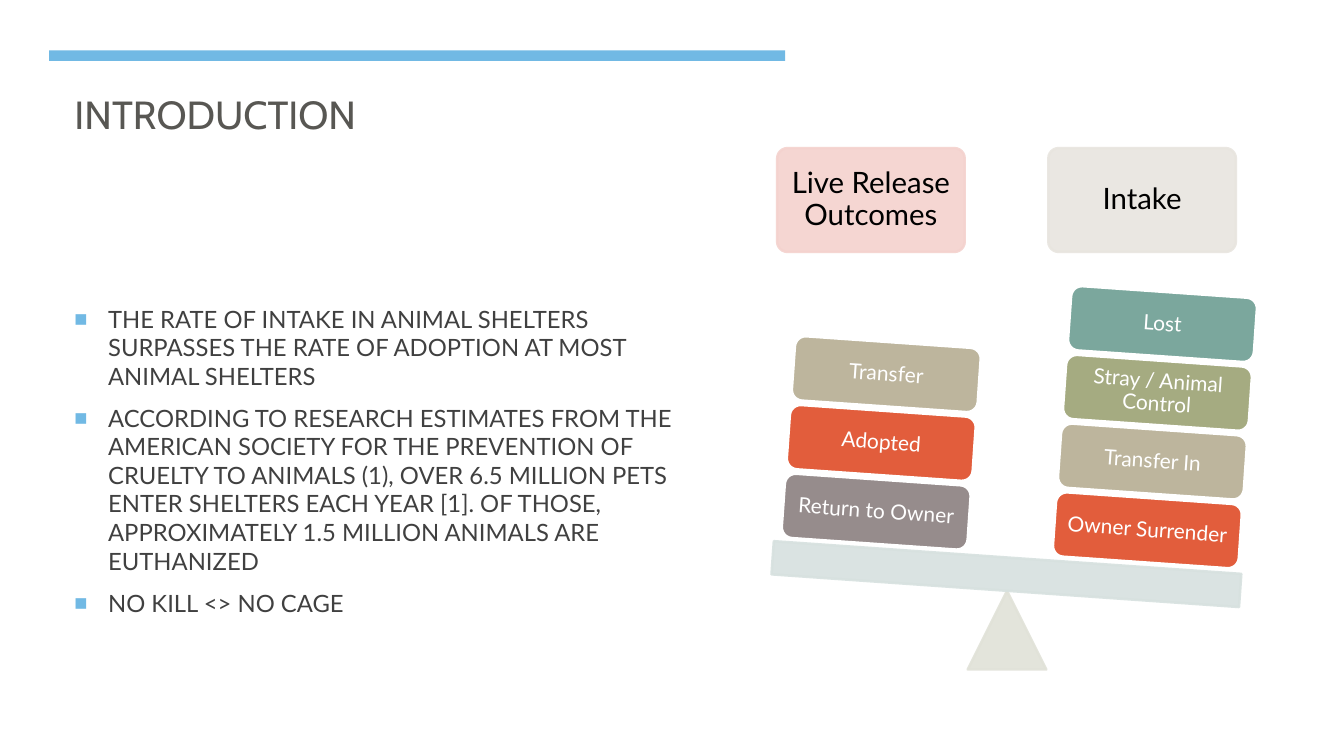
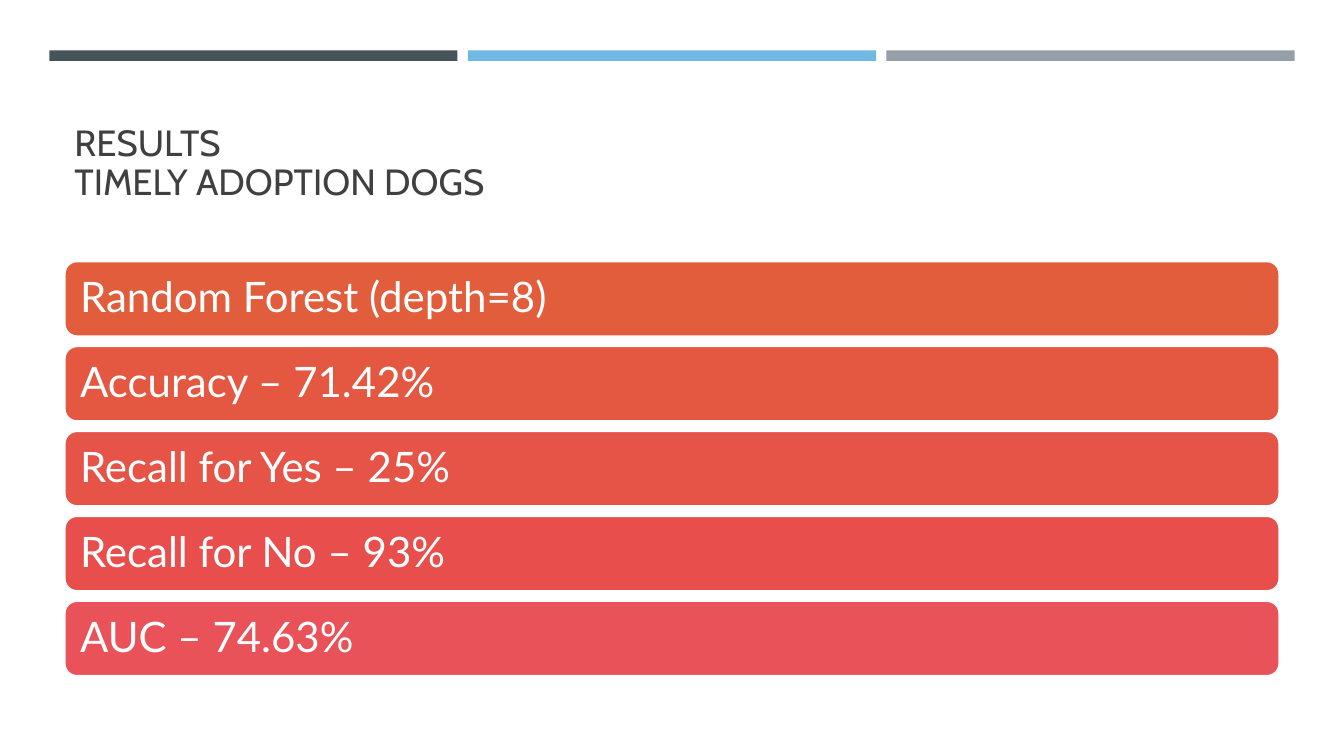
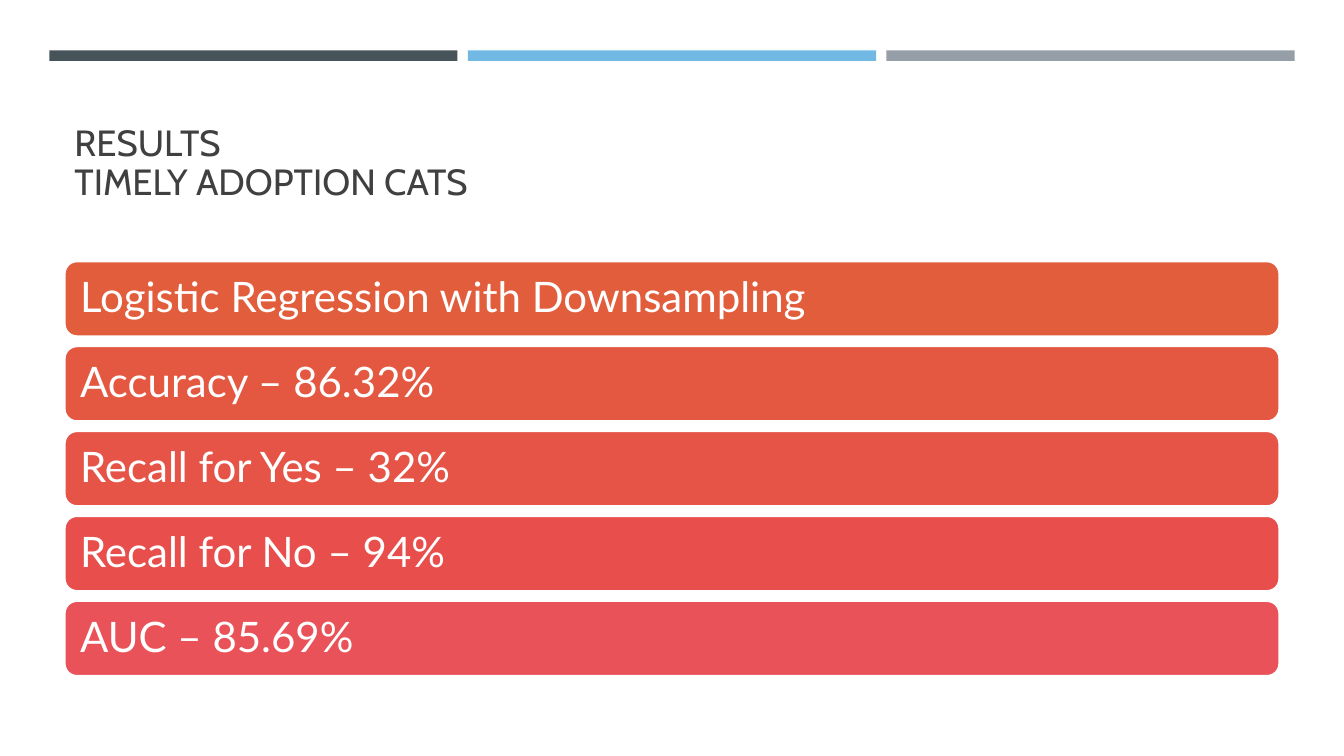
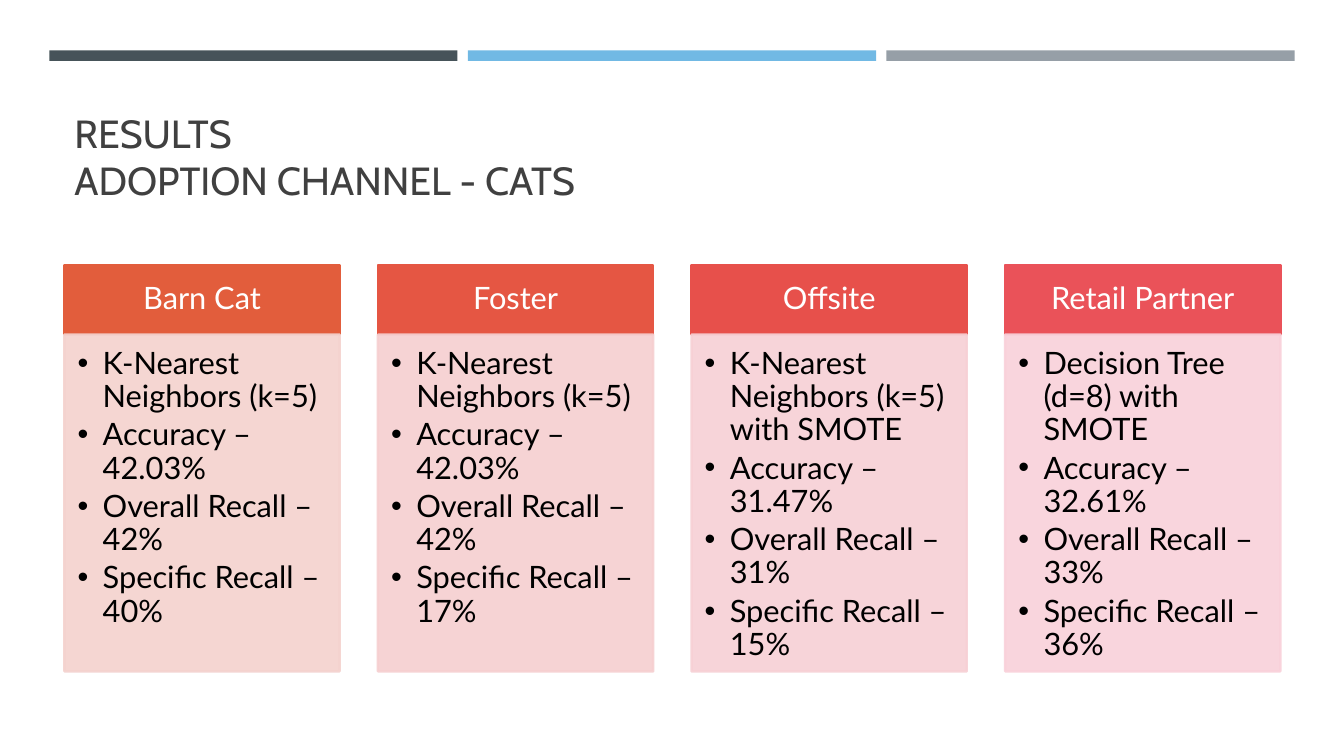
from lxml import etree
from pptx import Presentation
from pptx.dml.color import RGBColor
from pptx.enum.shapes import MSO_SHAPE
from pptx.enum.text import MSO_ANCHOR, MSO_AUTO_SIZE, PP_ALIGN
from pptx.oxml.ns import qn
from pptx.util import Pt

RECT, ROUNDED = MSO_SHAPE.RECTANGLE, MSO_SHAPE.ROUNDED_RECTANGLE
TRIANGLE = MSO_SHAPE.ISOSCELES_TRIANGLE
LEFT, CENTER = PP_ALIGN.LEFT, PP_ALIGN.CENTER
TOP, MIDDLE, BOTTOM = MSO_ANCHOR.TOP, MSO_ANCHOR.MIDDLE, MSO_ANCHOR.BOTTOM
TITLE_FONT, BODY_FONT = "Cabin", "Lato"
COLORS = {
    "white": "FFFFFF", "black": "000000", "text": "404040", "intro": "585753",
    "slate": "465359", "sky": "71B9E4", "grey": "969FA7",
    "orange": "E25D3C", "sand": "BDB59D", "olive": "A5AB81",
    "teal": "7BA79D", "taupe": "968C8C",
    "pale red": "F4D2CE", "pale sand": "E8E5DF",
    "pale olive": "E1E2D8", "pale teal": "D7E1DF",
    "row 2": "E45841", "row 3": "E65347", "row 4": "E84F4C", "rose": "EA5259",
    "foster": "E55643", "offsite": "E7504B",
    "pale foster": "F6CFD0", "pale offsite": "F7D0D5", "pale rose": "F9D1DA",
}
RGB = {name: RGBColor.from_string(value) for name, value in COLORS.items()}


def add_panel(slide, kind, box, fill, outline=None, text="", size=15, color="white",
              insets=(4.3, 4.3, 4.3, 4.3), align=CENTER, anchor=MIDDLE):
    """Add a filled shape with optional text; pale fills are 90 % opaque."""
    panel = slide.shapes.add_shape(kind, *[Pt(value) for value in box])
    panel.shadow.inherit = False
    panel.fill.solid()
    panel.fill.fore_color.rgb = RGB[fill]
    if outline:
        panel.line.color.rgb = RGB[outline]
        panel.line.width = Pt(1.75)
    else:
        panel.line.fill.background()
    if fill.startswith("pale"):
        for tint in panel.element.spPr.iter(qn("a:srgbClr")):
            etree.SubElement(tint, qn("a:alpha"), val="90000")
    if text:
        frame = panel.text_frame
        frame.text = text
        frame.word_wrap = True
        frame.vertical_anchor = anchor
        (frame.margin_left, frame.margin_top,
         frame.margin_right, frame.margin_bottom) = [Pt(value) for value in insets]
        for paragraph in frame.paragraphs:
            paragraph.alignment = align
            paragraph.line_spacing = 0.9
            for run in paragraph.runs:
                run.font.name, run.font.size = BODY_FONT, Pt(size)
                run.font.color.rgb = RGB[color]
    return panel


def add_bullet(paragraph, symbol, indent, color, percent):
    properties = paragraph._p.get_or_add_pPr()
    properties.set("marL", str(Pt(indent)))
    properties.set("indent", str(-Pt(indent)))
    tint = etree.SubElement(properties, qn("a:buClr"))
    etree.SubElement(tint, qn("a:srgbClr"), val=COLORS[color])
    etree.SubElement(properties, qn("a:buSzPct"), val=str(percent * 1000))
    etree.SubElement(properties, qn("a:buFont"), typeface="Arial")
    etree.SubElement(properties, qn("a:buChar"), char=symbol)


prs = Presentation()
prs.slide_width, prs.slide_height = Pt(960), Pt(540)
content_layout, results_layout = prs.slide_layouts[1], prs.slide_layouts[5]

# Slides and titles: layout, text, size, colour, line spacing, box
RESULTS_TITLE = (46, 55.4, 868, 93.6)
titles = [
    (content_layout, "INTRODUCTION", 28, "intro", 1.0, (46, 55.4, 497, 46)),
    (results_layout, "RESULTS\vTIMELY ADOPTION DOGS", 26, "text", 0.9, RESULTS_TITLE),
    (results_layout, "RESULTS\vTIMELY ADOPTION CATS", 26, "text", 0.9, RESULTS_TITLE),
    (results_layout, "RESULTS\vADOPTION CHANNEL - CATS", 28, "text", 1.0, RESULTS_TITLE),
]
for layout, heading, size, color, spacing, box in titles:
    title = prs.slides.add_slide(layout).shapes.title
    title.left, title.top, title.width, title.height = [Pt(value) for value in box]
    title.text_frame.text = heading
    title.text_frame.auto_size = MSO_AUTO_SIZE.NONE
    title.text_frame.vertical_anchor = BOTTOM
    paragraph = title.text_frame.paragraphs[0]
    paragraph.alignment = LEFT
    paragraph.line_spacing = spacing
    for run in paragraph.runs:
        run.font.name, run.font.size = TITLE_FONT, Pt(size)
        run.font.color.rgb = RGB[color]
intro, dogs, cats, channels = prs.slides

# Bands shared by all results slides live on their layout
layout_tree = results_layout.placeholders[0].element.getparent()
for column, color in enumerate(["slate", "sky", "grey"]):
    band = add_panel(dogs, RECT, (35.2 + 299 * column, 36, 291.6, 7.5), color)
    layout_tree.append(band.element)

# Introduction
add_panel(intro, RECT, (35.2, 36, 525.6, 7.5), "sky")
points = intro.placeholders[1]
points.left, points.top, points.width, points.height = Pt(46), Pt(186), Pt(471), Pt(286)
frame = points.text_frame
frame.text = "\n".join([
    "THE RATE OF INTAKE IN ANIMAL SHELTERS SURPASSES THE RATE OF ADOPTION AT MOST "
    "ANIMAL SHELTERS",
    "ACCORDING TO RESEARCH ESTIMATES FROM THE AMERICAN SOCIETY FOR THE PREVENTION OF "
    "CRUELTY TO ANIMALS (1), OVER 6.5 MILLION PETS ENTER SHELTERS EACH YEAR [1]. OF "
    "THOSE, APPROXIMATELY 1.5 MILLION ANIMALS ARE EUTHANIZED",
    "NO KILL <> NO CAGE",
])
frame.auto_size = MSO_AUTO_SIZE.NONE
frame.vertical_anchor = MIDDLE
for index, paragraph in enumerate(frame.paragraphs):
    add_bullet(paragraph, "■", 24, "sky", 92)
    paragraph.space_before = Pt(3.6 if index else 0)
    paragraph.space_after = Pt(6)
    for run in paragraph.runs:
        run.font.name, run.font.size = BODY_FONT, Pt(17)
        run.font.color.rgb = RGB["text"]

# Balance: tilted beam with a stack of weights on each side, bottom first
TILT = 4
add_panel(intro, TRIANGLE, (691.2, 422, 56.2, 56.2), "pale olive", "pale olive")
beam = add_panel(intro, RECT, (551.5, 398.2, 334.8, 23.8), "pale teal", "pale teal")
beam.rotation = TILT
sides = [
    ("Live Release Outcomes", "pale red", 555.1, 559.4, 342.5,
     [("Return to Owner", "taupe"), ("Adopted", "orange"), ("Transfer", "sand")]),
    ("Intake", "pale sand", 748.8, 753.1, 355.8,
     [("Owner Surrender", "orange"), ("Transfer In", "sand"),
      ("Stray / Animal Control", "olive"), ("Lost", "teal")]),
]
for heading, fill, heading_left, stack_left, stack_top, weights in sides:
    header = add_panel(intro, ROUNDED, (heading_left, 105.8, 134, 74.2), fill, fill,
                       heading, 21, "black", (6.5, 6.5, 6.5, 6.5))
    header.adjustments[0] = 0.1
    for level, (label, color) in enumerate(weights):
        box = (stack_left + 3.6 * level, stack_top - 49.1 * level, 133, 46)
        weight = add_panel(intro, ROUNDED, box, color, "white", label)
        weight.rotation = TILT

# Timely adoption
ROW_COLORS = ["orange", "row 2", "row 3", "row 4", "rose"]
timely_results = [
    (dogs, ["Random Forest (depth=8)", "Accuracy – 71.42%", "Recall for Yes – 25%",
            "Recall for No – 93%", "AUC – 74.63%"]),
    (cats, ["Logistic Regression with Downsampling", "Accuracy – 86.32%",
            "Recall for Yes – 32%", "Recall for No – 94%", "AUC – 85.69%"]),
]
for slide, measures in timely_results:
    for row, (measure, color) in enumerate(zip(measures, ROW_COLORS)):
        add_panel(slide, ROUNDED, (46, 186.5 + 60.65 * row, 868, 53.9), color, "white",
                  measure, 30, insets=(8.6, 8.6, 8.6, 8.6), align=LEFT)

# Adoption channels: name, colours, model, accuracy, overall and specific recall
channel_results = [
    ("Barn Cat", "orange", "pale red", "K-Nearest Neighbors (k=5)", "42.03%", "42%", "40%"),
    ("Foster", "foster", "pale foster", "K-Nearest Neighbors (k=5)", "42.03%", "42%", "17%"),
    ("Offsite", "offsite", "pale offsite", "K-Nearest Neighbors (k=5) with SMOTE",
     "31.47%", "31%", "15%"),
    ("Retail Partner", "rose", "pale rose", "Decision Tree (d=8) with SMOTE",
     "32.61%", "33%", "36%"),
]
for column, result in enumerate(channel_results):
    channel, color, pale, model, accuracy, overall, specific = result
    left = 46 + 224 * column
    add_panel(channels, RECT, (left, 189.4, 196.6, 49.6), color, color, channel, 22,
              insets=(12.2, 7, 12.2, 7))
    findings = "\n".join([model, f"Accuracy – {accuracy}", f"Overall Recall – {overall}",
                          f"Specific Recall – {specific}"])
    details = add_panel(channels, RECT, (left, 239, 196.6, 240.6), pale, pale, findings,
                        22, "black", (9.4, 9.4, 12.2, 13.7), LEFT, TOP)
    for paragraph in details.text_frame.paragraphs:
        add_bullet(paragraph, "•", 18, "black", 100)
        paragraph.space_after = Pt(3.6)

prs.save("out.pptx")
